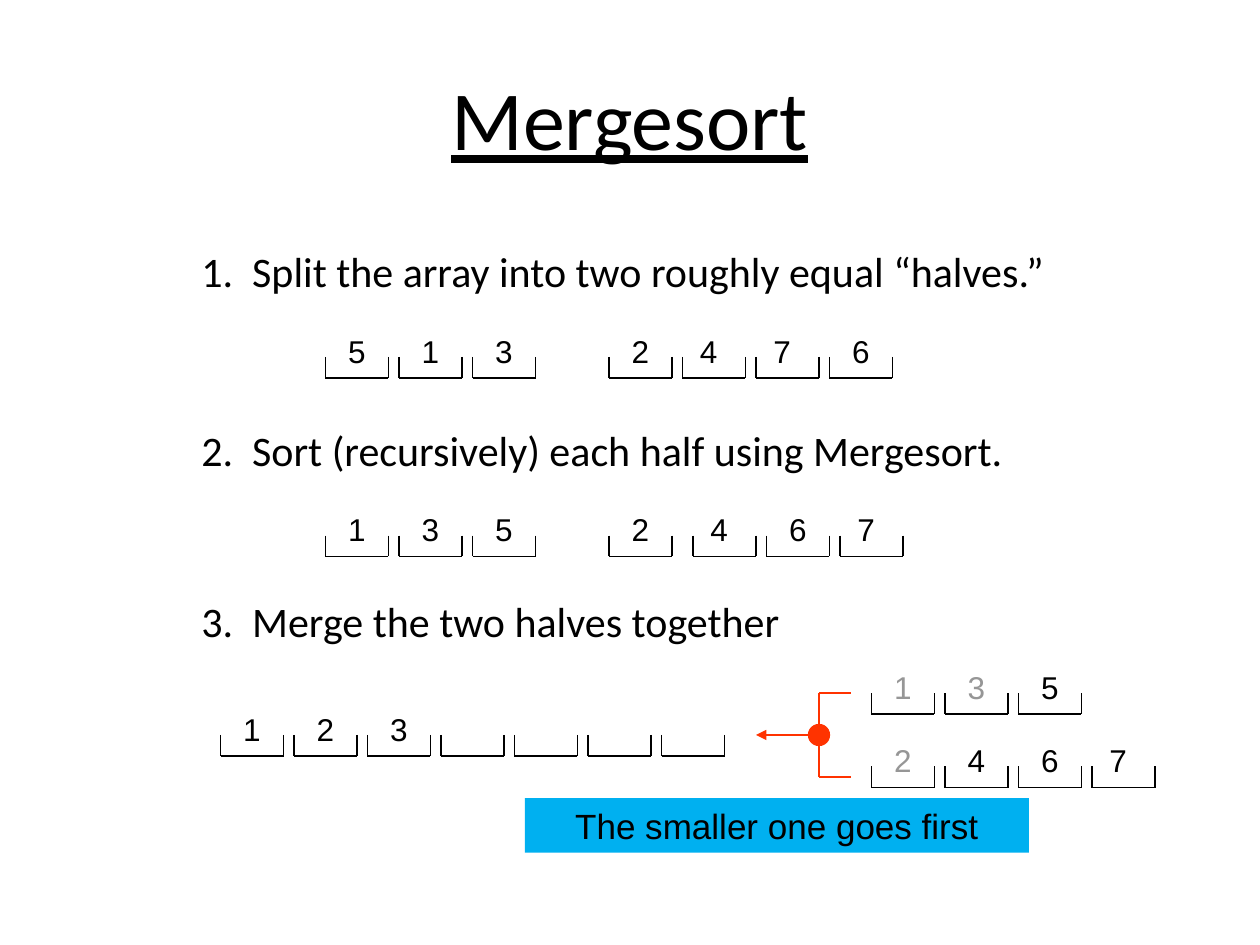
from pptx import Presentation
from pptx.dml.color import RGBColor
from pptx.enum.shapes import MSO_CONNECTOR, MSO_SHAPE
from pptx.enum.text import MSO_ANCHOR, PP_ALIGN
from pptx.oxml.ns import qn
from pptx.util import Inches, Pt
from lxml import etree

BLACK = RGBColor(0x00, 0x00, 0x00)
GREY = RGBColor(0x96, 0x96, 0x96)
RED = RGBColor(0xFF, 0x33, 0x00)
BLUE = RGBColor(0x00, 0xB0, 0xF0)
CENTER, LEFT = PP_ALIGN.CENTER, PP_ALIGN.LEFT
MIDDLE, TOP = MSO_ANCHOR.MIDDLE, MSO_ANCHOR.TOP
STRAIGHT = MSO_CONNECTOR.STRAIGHT
RECT, OVAL = MSO_SHAPE.RECTANGLE, MSO_SHAPE.OVAL

# Grid of 120 columns and 90 rows
COLS, ROWS = 120, 90
UNIT = Inches(10) / COLS
TRAY_W, TRAY_H, PITCH = 6, 2, 7


def grid(*values):
    return [round(v * UNIT) for v in values]


class Sketch:
    """Style and current slide; all positions are in grid units."""
    heading_font, label_font = "Calibri", "Arial"
    line_width = Pt(0.75)

    def __init__(self, prs):
        self.s = prs.slides.add_slide(prs.slide_layouts[6])

    def add_text(self, p, text, size, font, color=BLACK, align=CENTER):
        p.alignment = align
        r = p.add_run()
        r.text = text
        r.font.size, r.font.name = Pt(size), font
        r.font.color.rgb = color
        return r

    def text_frame(self, x, y, w, h, anchor=TOP):
        tf = self.s.shapes.add_textbox(*grid(x, y, w, h)).text_frame
        tf.word_wrap = True
        tf.vertical_anchor = anchor
        return tf

    def title(self, x, y, w, h, text):
        tf = self.text_frame(x, y, w, h, MIDDLE)
        r = self.add_text(tf.paragraphs[0], text, 48, self.heading_font)
        r.font.underline = True

    def steps(self, x, y, w, h, items):
        tf = self.text_frame(x, y, w, h)
        for i, (text, gap) in enumerate(items):
            p = tf.add_paragraph() if i else tf.paragraphs[0]
            p.space_before = Pt(gap)
            pPr = p._p.get_or_add_pPr()
            pPr.set("marL", str(Inches(0.81)))
            pPr.set("indent", str(Inches(-0.31)))
            self.add_text(p, text, 24, self.heading_font, align=LEFT)

    def line(self, x1, y1, x2, y2, color=BLACK, arrow=False):
        c = self.s.shapes.add_connector(STRAIGHT, *grid(x1, y1, x2, y2))
        c.line.color.rgb, c.line.width = color, self.line_width
        spPr = c._element.spPr
        if arrow:
            etree.SubElement(spPr.find(qn("a:ln")), qn("a:tailEnd"), type="triangle")
        etree.SubElement(spPr, qn("a:effectLst"))

    def shape(self, kind, x, y, w, h, fill, text=None):
        sp = self.s.shapes.add_shape(kind, *grid(x, y, w, h))
        sp.shadow.inherit = False
        sp.fill.solid()
        sp.fill.fore_color.rgb = fill
        if text:
            sp.line.fill.background()
            self.add_text(sp.text_frame.paragraphs[0], text, 20, self.label_font)
        else:
            sp.line.color.rgb, sp.line.width = fill, self.line_width

    def tray(self, x, y, digit="", color=BLACK, shift=0):
        right, bottom = x + TRAY_W, y + TRAY_H
        self.line(x, y, x, bottom)
        self.line(x, bottom, right, bottom)
        self.line(right, y, right, bottom)
        if digit:
            tf = self.text_frame(x + shift, y - 3, TRAY_W, 6)
            self.add_text(tf.paragraphs[0], digit, 18, self.label_font, color)

    def array(self, x, y, digits, used="", shifted=""):
        """Row of trays; used digits are grey, shifted ones sit half a unit left."""
        for i, digit in enumerate(digits):
            self.tray(x + i * PITCH, y, digit.strip(),
                      GREY if digit in used else BLACK,
                      -0.5 if digit in shifted else 0)


def main():
    prs = Presentation()
    prs.slide_width, prs.slide_height = grid(COLS, ROWS)
    sk = Sketch(prs)

    # Title and the three steps
    sk.title(6, 3.6, 108, 15, "Mergesort")
    sk.steps(12, 22.8, 102, 59.3, [
        ("1.  Split the array into two roughly equal “halves.”", 0),
        ("2.  Sort (recursively) each half using Mergesort.", 73.6),
        ("3.  Merge the two halves together", 69),
    ])

    # Step 1: unsorted halves
    sk.array(31, 34, "513")
    sk.array(58, 34, "2476", shifted="47")

    # Step 2: sorted halves
    sk.array(31, 51, "135")
    sk.array(58, 51, "2")
    sk.array(66, 51, "467", shifted="47")

    # Step 3: merged result and the remaining halves
    sk.array(21, 70, "123    ")
    sk.array(83, 66, "135", used="13")
    sk.array(83, 73, "2467", used="2", shifted="7")

    # Merge bracket with arrow
    for y in (66, 74):
        sk.line(81, y, 78, y, RED)
    sk.line(78, 66, 78, 74, RED)
    sk.line(78, 70, 72, 70, RED, arrow=True)
    sk.shape(OVAL, 77, 69, 2, 2, RED)

    # Caption
    sk.shape(RECT, 50, 76, 48, 5.2, BLUE, "The smaller one goes first")

    prs.save("out.pptx")


if __name__ == "__main__":
    main()
